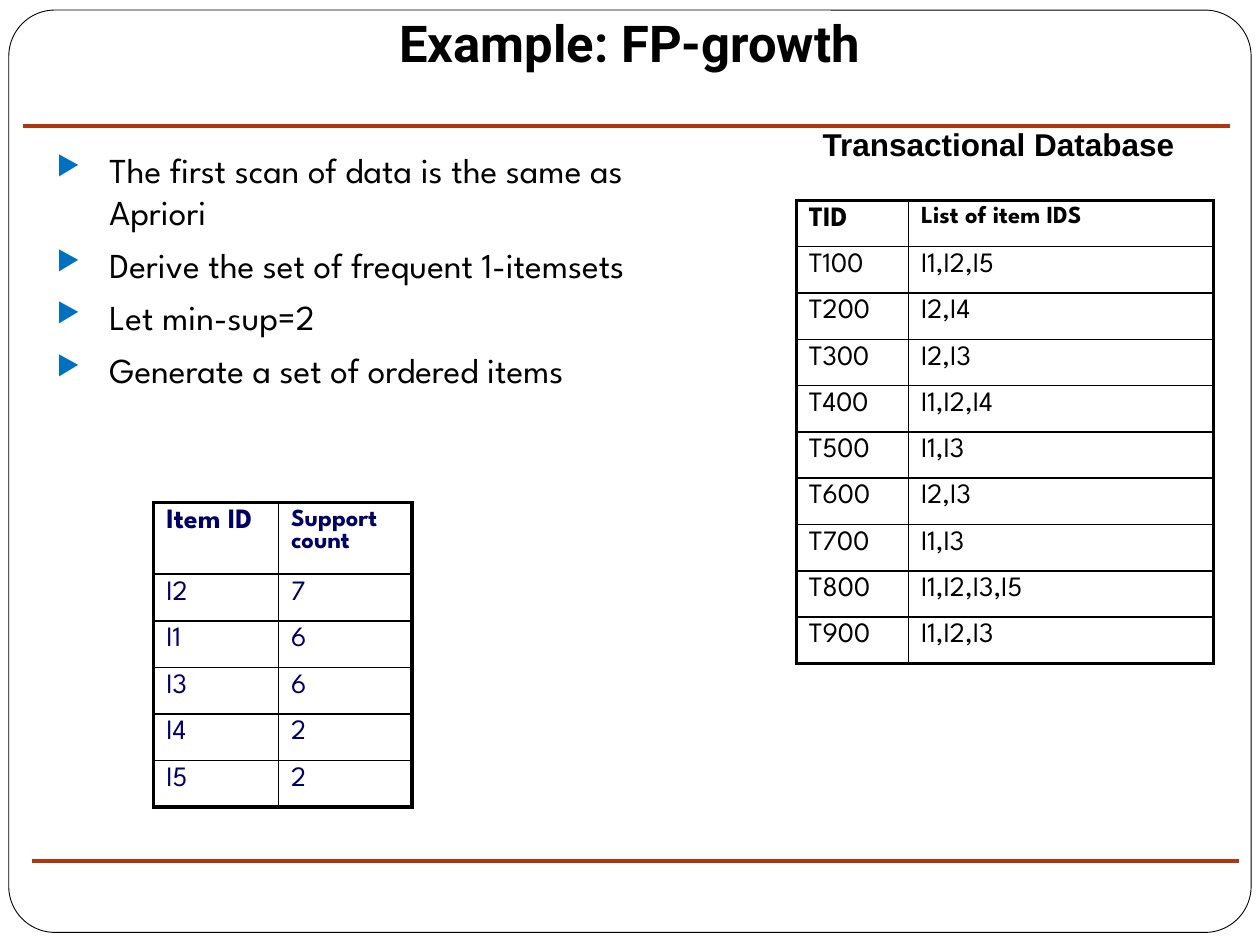
from lxml.etree import SubElement
from pptx import Presentation
from pptx.dml.color import RGBColor
from pptx.enum.shapes import MSO_CONNECTOR, MSO_SHAPE
from pptx.enum.text import MSO_ANCHOR, PP_ALIGN
from pptx.oxml.ns import qn
from pptx.util import Inches, Pt

COLORS = {"black": "000000", "white": "FFFFFF", "navy": "000066",
          "rule": "B1360B", "bullet": "0070C0"}
BODY_FONT = "League Spartan"


def write_text(paragraph, text, size=16, font=BODY_FONT, color="black",
               bold=False, align=PP_ALIGN.LEFT):
    paragraph.alignment = align
    run = paragraph.add_run()
    run.text = text
    run.font.size = Pt(size)
    run.font.name = font
    run.font.bold = bold
    run.font.color.rgb = RGBColor.from_string(COLORS[color])


def add_bordered_table(left, top, widths, heights, rows, color):
    """Add a table with thin inner lines, a thick outer frame and a bold header."""
    table = slide.shapes.add_table(
        len(rows), len(widths), Inches(left), Inches(top),
        Inches(sum(widths)), Inches(sum(heights))).table
    table.first_row = table.horz_banding = False
    for column, width in zip(table.columns, widths):
        column.width = Inches(width)
    last_row, last_column = len(rows) - 1, len(widths) - 1
    for r, values in enumerate(rows):
        table.rows[r].height = Inches(heights[r])
        for c, value in enumerate(values):
            cell = table.cell(r, c)
            write_text(cell.text_frame.paragraphs[0], value, color=color,
                       bold=r == 0, size=14 if r == 0 and c == 1 else 16)
            properties = cell._tc.get_or_add_tcPr()
            outer_edges = {"a:lnL": c == 0, "a:lnR": c == last_column,
                           "a:lnT": r == 0, "a:lnB": r == last_row}
            for tag, is_outer in outer_edges.items():
                line = SubElement(properties, qn(tag), w=str(Pt(2.25 if is_outer else 1)))
                fill = SubElement(line, qn("a:solidFill"))
                SubElement(fill, qn("a:srgbClr"), val=COLORS["black"])
            cell.fill.background()


presentation = Presentation()
presentation.slide_width = Inches(10)
presentation.slide_height = Inches(7.5)
slide = presentation.slides.add_slide(presentation.slide_layouts[6])

# Slide frame
frame = slide.shapes.add_shape(MSO_SHAPE.ROUNDED_RECTANGLE, Inches(0.07), Inches(0.08),
                               Inches(9.86), Inches(7.32))
frame.adjustments[0] = 0.05
frame.shadow.inherit = False
frame.fill.solid()
frame.fill.fore_color.rgb = RGBColor.from_string(COLORS["white"])
frame.line.color.rgb = RGBColor.from_string(COLORS["black"])
frame.line.width = Pt(0.5)

# Title
title = slide.shapes.add_textbox(Inches(0.5), Inches(0.17), Inches(9), Inches(0.51))
title.text_frame.word_wrap = True
title.text_frame.vertical_anchor = MSO_ANCHOR.BOTTOM
title.text_frame.margin_bottom = Inches(0.1)
write_text(title.text_frame.paragraphs[0], "Example: FP-growth", size=29,
           font="Roboto", bold=True, align=PP_ALIGN.CENTER)

# Bulleted steps
steps = slide.shapes.add_textbox(Inches(0.35), Inches(1.13), Inches(4.72), Inches(2.1))
steps.text_frame.word_wrap = True
for index, step in enumerate(["The first scan of data is the same as Apriori",
                              "Derive the set of frequent 1-itemsets",
                              "Let min-sup=2",
                              "Generate a set of ordered items"]):
    paragraph = steps.text_frame.add_paragraph() if index else steps.text_frame.paragraphs[0]
    paragraph.line_spacing = Pt(24)
    paragraph.space_before = Pt(6 if index else 0)
    properties = paragraph._p.get_or_add_pPr()
    properties.set("marL", str(Inches(0.42)))
    properties.set("indent", str(-Inches(0.42)))
    bullet_color = SubElement(properties, qn("a:buClr"))
    SubElement(bullet_color, qn("a:srgbClr"), val=COLORS["bullet"])
    SubElement(properties, qn("a:buSzPct"), val="76000")
    SubElement(properties, qn("a:buChar"), char="▶")
    write_text(paragraph, step, size=20)

# Transactions
transactions = [("TID", "List of item IDS"), ("T100", "I1,I2,I5"), ("T200", "I2,I4"),
                ("T300", "I2,I3"), ("T400", "I1,I2,I4"), ("T500", "I1,I3"),
                ("T600", "I2,I3"), ("T700", "I1,I3"), ("T800", "I1,I2,I3,I5"),
                ("T900", "I1,I2,I3")]
transaction_heights = [0.31, 0.33, 0.37] + [0.33] * 4 + [0.37] + [0.33] * 2
add_bordered_table(6.32, 1.59, [0.89, 2.42], transaction_heights, transactions, "black")

caption = slide.shapes.add_textbox(Inches(6.43), Inches(0.94), Inches(3.01), Inches(0.4))
caption.text_frame.word_wrap = False
write_text(caption.text_frame.paragraphs[0], "Transactional Database", size=18,
           font="Arial", bold=True)

# Support counts
support_counts = [("Item ID", "Support count"), ("I2", "7"), ("I1", "6"),
                  ("I3", "6"), ("I4", "2"), ("I5", "2")]
add_bordered_table(1.22, 3.99, [0.99, 1.06], [0.56] + [0.37] * 5, support_counts, "navy")

# Rules below the title and above the footer
for left, top in [(0.18, 1), (0.25, 6.83)]:
    rule = slide.shapes.add_connector(MSO_CONNECTOR.STRAIGHT, Inches(left), Inches(top),
                                      Inches(left + 9.58), Inches(top))
    rule.line.color.rgb = RGBColor.from_string(COLORS["rule"])
    rule.line.width = Pt(2.25)
    SubElement(rule._element.spPr, qn("a:effectLst"))

presentation.save("out.pptx")
